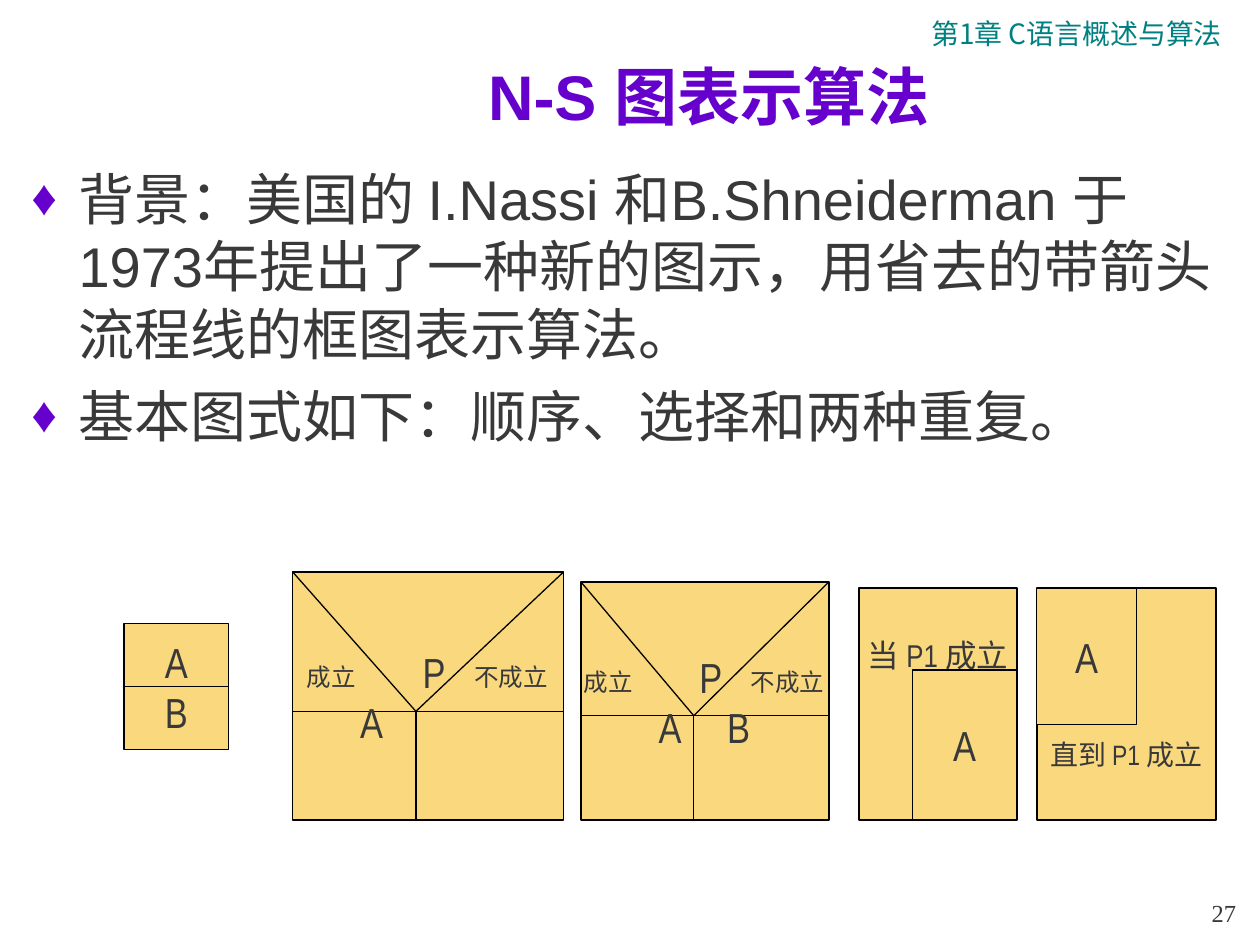
from lxml.etree import SubElement
from pptx import Presentation
from pptx.dml.color import RGBColor
from pptx.enum.lang import MSO_LANGUAGE_ID
from pptx.enum.shapes import MSO_CONNECTOR, MSO_SHAPE
from pptx.enum.text import MSO_ANCHOR, MSO_AUTO_SIZE, PP_ALIGN
from pptx.oxml.ns import qn
from pptx.util import Cm, Pt

COLORS = {"accent": "6600CC", "header": "008080", "text": "393939",
          "box": "F9D87E", "line": "000000"}
CJK_FONT = "Noto Sans CJK JP"
DIAGRAM_FONT = "Arial Narrow"


def rgb(name):
    return RGBColor.from_string(COLORS[name])


def style_text(frame, size, font, color="text", align=PP_ALIGN.CENTER, bold=False):
    for paragraph in frame.paragraphs:
        paragraph.alignment = align
        for run in paragraph.runs:
            run.font.size = Pt(size)
            run.font.name = font
            run.font.bold = bold
            run.font.color.rgb = rgb(color)
            run.font.language_id = MSO_LANGUAGE_ID.SIMPLIFIED_CHINESE
            east_asian = SubElement(run.font._element, qn("a:ea"))
            east_asian.set("typeface", CJK_FONT)


def place(part, left, top, width, height):
    part.left, part.top, part.width, part.height = map(Cm, (left, top, width, height))


def add_label(shapes, text, box, size, font, color="text",
              align=PP_ALIGN.CENTER, anchor=MSO_ANCHOR.MIDDLE):
    label = shapes.add_textbox(*map(Cm, box))
    frame = label.text_frame
    frame.text = text
    frame.word_wrap = False
    frame.vertical_anchor = anchor
    style_text(frame, size, font, color, align)


def add_block(shapes, box, text="", size=24, weight=0.75, above=0.13, below=0.13):
    block = shapes.add_shape(MSO_SHAPE.RECTANGLE, *map(Cm, box))
    block.shadow.inherit = False
    block.fill.solid()
    block.fill.fore_color.rgb = rgb("box")
    block.line.color.rgb = rgb("line")
    block.line.width = Pt(weight)
    frame = block.text_frame
    frame.text = text
    frame.word_wrap = False
    frame.vertical_anchor = MSO_ANCHOR.MIDDLE
    frame.margin_top, frame.margin_bottom = Cm(above), Cm(below)
    style_text(frame, size, DIAGRAM_FONT)


def add_rule(shapes, start, end):
    rule = shapes.add_connector(MSO_CONNECTOR.STRAIGHT, *map(Cm, start + end))
    rule.line.color.rgb = rgb("line")
    rule.line.width = Pt(0.75)
    SubElement(rule._element.spPr, qn("a:effectLst"))


def fill_title(title, box):
    place(title, *box)
    frame = title.text_frame
    frame.text = "N-S 图表示算法"
    frame.auto_size = MSO_AUTO_SIZE.NONE
    frame.vertical_anchor = MSO_ANCHOR.MIDDLE
    frame.margin_left = Cm(3.4)
    style_text(frame, 36, "Arial", "accent", bold=True)


def fill_body(body, box):
    place(body, *box)
    frame = body.text_frame
    frame.text = ("背景：美国的 I.Nassi 和B.Shneiderman 于1973年提出了一种新的图示，"
                  "用省去的带箭头流程线的框图表示算法。\n"
                  "基本图式如下：顺序、选择和两种重复。")
    frame.auto_size = MSO_AUTO_SIZE.NONE
    style_text(frame, 32, "Arial", align=PP_ALIGN.LEFT)
    for index, paragraph in enumerate(frame.paragraphs):
        paragraph.line_spacing = Pt(38.6)
        paragraph.space_before = Pt(8 if index else 0)
        properties = paragraph._p.get_or_add_pPr()
        properties.set("marL", str(Cm(0.95)))
        properties.set("indent", str(-Cm(0.95)))
        bullet_color = SubElement(properties, qn("a:buClr"))
        SubElement(bullet_color, qn("a:srgbClr")).set("val", COLORS["accent"])
        SubElement(properties, qn("a:buSzPct")).set("val", "90000")
        SubElement(properties, qn("a:buFont")).set("typeface", "Arial")
        SubElement(properties, qn("a:buChar")).set("char", "♦")


def draw_sequence(shapes, box):
    left, top, width, height = box
    add_block(shapes, box, "A\nB")
    middle = top + height / 2
    add_rule(shapes, (left, middle), (left + width, middle))


def draw_selection(shapes, box, branches):
    """branches maps each branch name to its offset from the centre line."""
    left, top, width, height = box
    right, bottom = left + width, top + height
    center, middle = left + width / 2, top + height / 2
    fork = (left + 0.455 * width, top + 0.562 * height)
    add_block(shapes, box, weight=1)
    for start, end in (((left, top), fork), (fork, (right, top)),
                       ((left, fork[1]), (right, fork[1])),
                       (fork, (fork[0], bottom))):
        add_rule(shapes, start, end)
    labels = [("成立", -1.95, -0.38, 14), ("P", 0.12, -0.48, 24),
              ("不成立", 1.67, -0.38, 14)]
    labels += [(name, offset, 0.52, 24) for name, offset in branches.items()]
    for text, across, down, size in labels:
        label_box = (center + across - 1, middle + down - 0.5, 2, 1)
        add_label(shapes, text, label_box, size, DIAGRAM_FONT)


def draw_while_loop(shapes, box):
    left, top, width, height = box
    add_block(shapes, box, "当 P1 成立", 18, weight=1, below=2.11)
    add_block(shapes, (left + 1.07, top + 1.65, width - 1.07, height - 1.65), "A")


def draw_until_loop(shapes, box):
    left, top, _, _ = box
    add_block(shapes, box, "直到 P1 成立", 16, weight=1, above=2.16)
    add_block(shapes, (left, top, 2.01, 2.74), "A")


def main():
    presentation = Presentation()
    presentation.slide_width, presentation.slide_height = Cm(25.4), Cm(19.05)
    slide = presentation.slides.add_slide(presentation.slide_layouts[1])
    shapes = slide.shapes

    # Chapter header, title and list
    add_label(shapes, "第1章 C语言概述与算法", (18.21, 0.2, 6.99, 0.94),
              16, CJK_FONT, "header")
    fill_title(shapes.title, (0.43, 1.07, 24.56, 1.7))
    fill_body(slide.placeholders[1], (0.38, 3.18, 24.56, 14.4))

    # Basic N-S structures, one group each
    def group():
        return shapes.add_group_shape().shapes

    draw_sequence(group(), (2.5, 12.57, 2.11, 2.54))
    draw_selection(group(), (5.9, 11.53, 5.46, 5), {"A": -1.14})
    draw_selection(group(), (11.71, 11.73, 5, 4.8), {"A": -0.7, "B": 0.68})
    draw_while_loop(group(), (17.32, 11.86, 3.18, 4.67))
    draw_until_loop(group(), (20.9, 11.86, 3.61, 4.67))

    # Page number
    add_label(shapes, "27", (23.7, 17.98, 1.47, 0.84), 14, "Times New Roman",
              align=PP_ALIGN.RIGHT, anchor=MSO_ANCHOR.BOTTOM)
    presentation.save("out.pptx")


if __name__ == "__main__":
    main()
